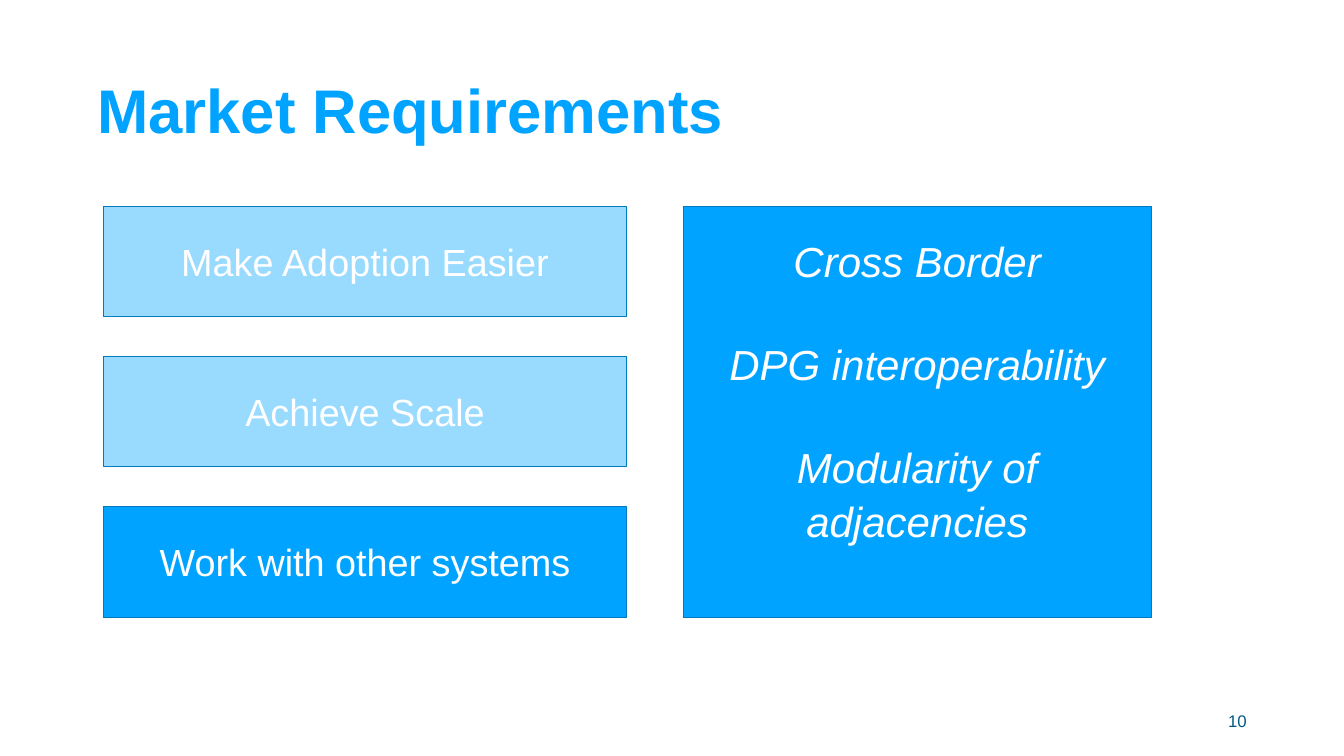
import pptx
import pptx.util
import pptx.dml.color
import pptx.enum.shapes
import pptx.enum.text

RGB = pptx.dml.color.RGBColor
BLUE = RGB(0x00, 0xA3, 0xFF)
PALE = RGB(0x99, 0xDA, 0xFF)
EDGE = RGB(0x00, 0x79, 0xBD)
NAVY = RGB(0x00, 0x5A, 0x83)
WHITE = RGB(0xFF, 0xFF, 0xFF)

ALIGN = pptx.enum.text.PP_ALIGN
INCH = pptx.util.Inches
WIDTH, HEIGHT = 26.67, 15
LEFT, TOP = 2.06, 4.09
BOX_W, BOX_H = 10.37, 2.19
ROW = 2.98
PANEL_X, PANEL_W = 13.56, 9.28

NEEDS = [
    ("Make Adoption Easier", PALE),
    ("Achieve Scale", PALE),
    ("Work with other systems", BLUE),
]
POINTS = ["Cross Border", "DPG interoperability", "Modularity of adjacencies"]


def write(shape, text, size, color, align, bold=False, italic=False):
    """Fill a shape with one paragraph per line of text, centred in height."""
    frame = shape.text_frame
    frame.word_wrap = True
    frame.vertical_anchor = pptx.enum.text.MSO_ANCHOR.MIDDLE
    frame.text = text
    for para in frame.paragraphs:
        para.alignment = align
        for run in para.runs:
            font = run.font
            font.name = "Arial"
            font.size = pptx.util.Pt(size)
            font.bold = bold
            font.italic = italic
            font.color.rgb = color
    return frame


def add_label(slide, area, text, size, color, align, bold=False):
    box = slide.shapes.add_textbox(*map(INCH, area))
    return write(box, text, size, color, align, bold=bold)


def add_box(slide, area, fill, text, size, italic=False):
    kind = pptx.enum.shapes.MSO_SHAPE.RECTANGLE
    box = slide.shapes.add_shape(kind, *map(INCH, area))
    box.shadow.inherit = False
    box.fill.solid()
    box.fill.fore_color.rgb = fill
    box.line.color.rgb = EDGE
    box.line.width = pptx.util.Pt(1)
    return write(box, text, size, WHITE, ALIGN.CENTER, italic=italic)


def add_panel(slide):
    area = (PANEL_X, TOP, PANEL_W, 2 * ROW + BOX_H)
    frame = add_box(slide, area, BLUE, "\n".join(POINTS), 60, italic=True)
    frame.margin_bottom = INCH(0.95)
    for para in frame.paragraphs:
        para.line_spacing = 1.07
    for para in frame.paragraphs[1:]:
        para.space_before = pptx.util.Pt(70)


def main():
    deck = pptx.Presentation()
    deck.slide_width, deck.slide_height = INCH(WIDTH), INCH(HEIGHT)
    slide = deck.slides.add_slide(deck.slide_layouts[6])
    title = add_label(slide, (1.83, 0.8, 23, 2.9), "Market Requirements",
                      88, BLUE, ALIGN.LEFT, bold=True)
    title.paragraphs[0].line_spacing = 0.9
    add_label(slide, (18.84, 13.9, 6, 0.8), "10", 24, NAVY, ALIGN.RIGHT)
    for row, (text, fill) in enumerate(NEEDS):
        area = (LEFT, TOP + row * ROW, BOX_W, BOX_H)
        add_box(slide, area, fill, text, 54)
    add_panel(slide)
    deck.save("out.pptx")


if __name__ == "__main__":
    main()
